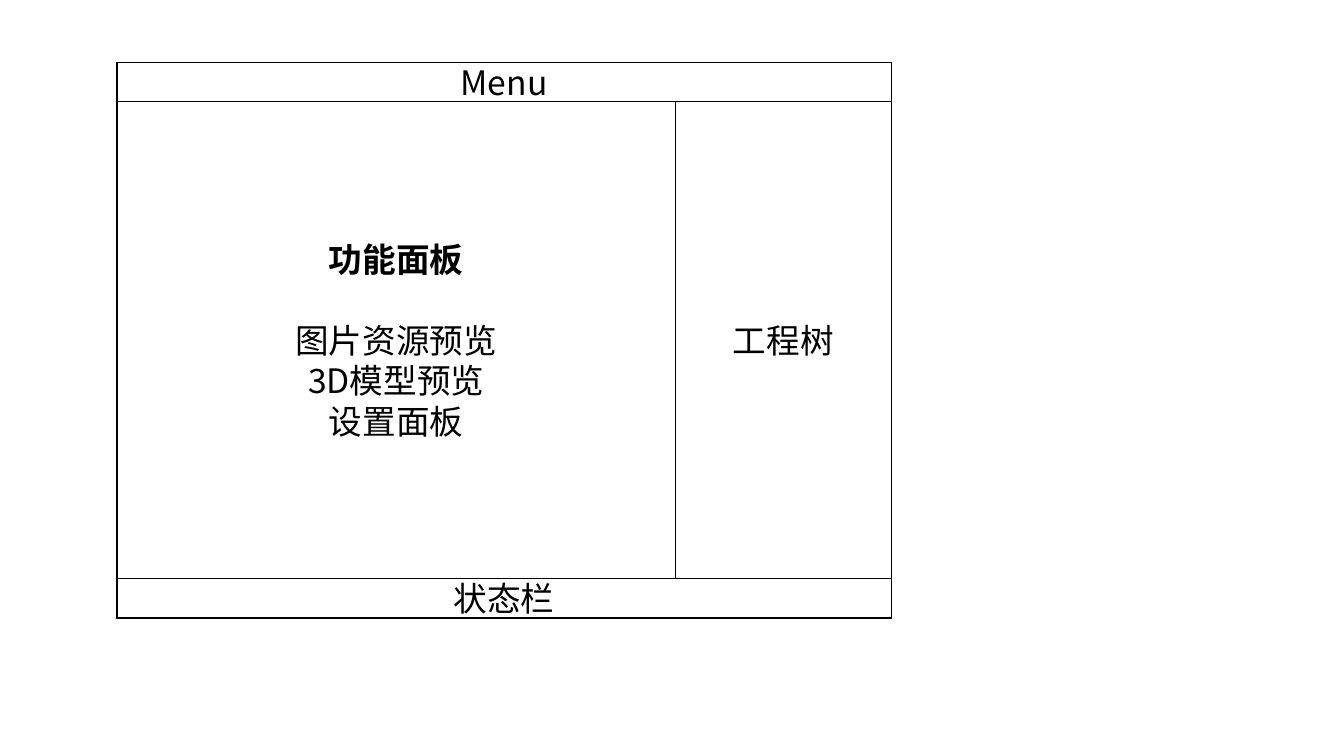
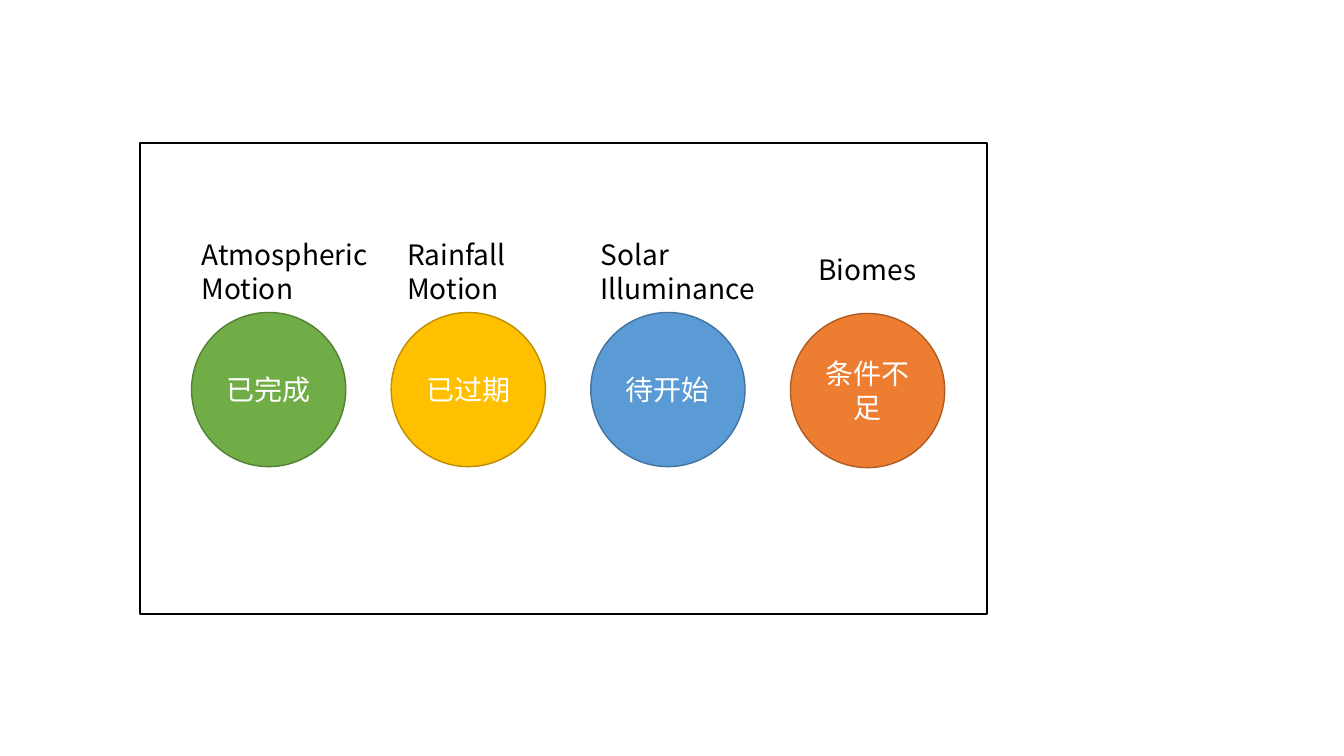
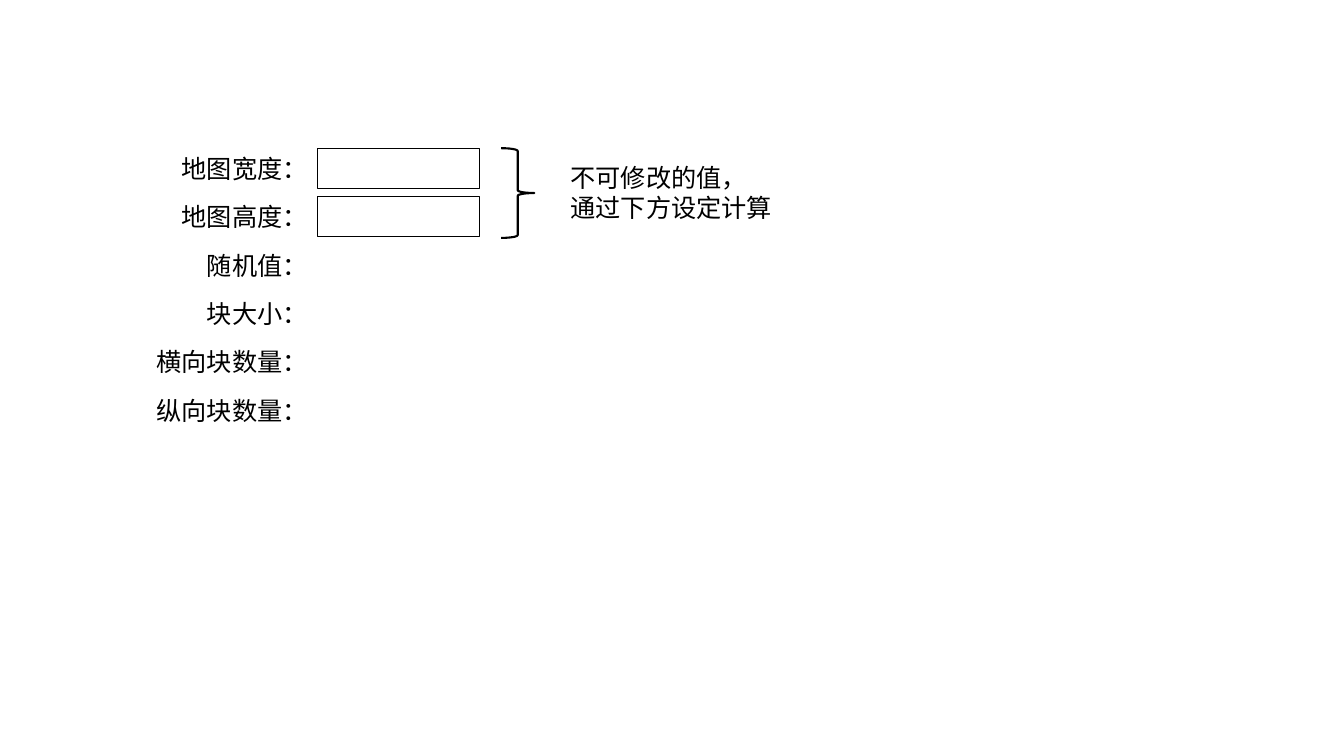
from lxml import etree
from pptx import Presentation
from pptx.dml.color import RGBColor
from pptx.enum import shapes, text
from pptx.oxml import ns
from pptx.util import Inches, Pt

BLACK = RGBColor(0x00, 0x00, 0x00)
WHITE = RGBColor(0xFF, 0xFF, 0xFF)
GREEN = RGBColor(0x70, 0xAD, 0x47)
DARK_GREEN = RGBColor(0x53, 0x80, 0x35)
GOLD = RGBColor(0xFF, 0xC0, 0x00)
DARK_GOLD = RGBColor(0xBD, 0x8E, 0x00)
BLUE = RGBColor(0x5B, 0x9B, 0xD5)
DARK_BLUE = RGBColor(0x43, 0x73, 0x9E)
ORANGE = RGBColor(0xED, 0x7D, 0x31)
DARK_ORANGE = RGBColor(0xAF, 0x5C, 0x24)
FONT = "Noto Sans CJK SC"
KIND = shapes.MSO_SHAPE
ALIGN = text.PP_ALIGN


def write(box, lines, size, color=BLACK, align=ALIGN.LEFT):
    frame = box.text_frame
    for number, line in enumerate(lines):
        para = frame.paragraphs[0] if number == 0 else frame.add_paragraph()
        para.alignment = align
        span = para.add_run()
        span.text = line
        look = {"name": FONT, "size": Pt(size), "bold": False}
        for key, value in look.items():
            setattr(span.font, key, value)
        span.font.color.rgb = color
        east_asian = etree.SubElement(span.font._element, ns.qn("a:ea"))
        east_asian.set("typeface", FONT)
    return frame


def draw(page, kind, place, fill=None, line=BLACK, weight=1):
    shape = page.shapes.add_shape(kind, *map(Inches, place))
    shape.shadow.inherit = False
    if fill is None:
        shape.fill.background()
    else:
        shape.fill.solid()
        shape.fill.fore_color.rgb = fill
    shape.line.color.rgb = line
    shape.line.width = Pt(weight)
    shape.text_frame.vertical_anchor = text.MSO_ANCHOR.MIDDLE
    return shape


deck = Presentation()
deck.slide_width, deck.slide_height = Inches(13.33), Inches(7.5)
layout_page, status_page, form_page = [
    deck.slides.add_slide(deck.slide_layouts[6]) for _ in range(3)
]

left, top, width, height = 1.16, 0.62, 7.68, 5.51
bar, tree_width = 0.39, 2.14
panel_width = width - tree_width
panel_top, panel_height = top + bar, height - 2 * bar
panels = [
    ((left, top, width, height), []),
    ((left, top, width, bar), ["Menu"]),
    ((left + panel_width, panel_top, tree_width, panel_height), ["工程树"]),
    ((left, top + height - bar, width, bar), ["状态栏"]),
    (
        (left, panel_top, panel_width, panel_height),
        ["功能面板", "图片资源预览", "3D模型预览", "设置面板"],
    ),
]
for place, lines in panels:
    panel = draw(layout_page, KIND.RECTANGLE, place, WHITE)
    frame = write(panel, lines, 24, align=ALIGN.CENTER)
heading = frame.paragraphs[0]
heading.space_after = Pt(28.8)
heading.runs[0].font.bold = True

draw(status_page, KIND.RECTANGLE, (1.39, 1.42, 8.4, 4.67))
statuses = [
    ("已完成", GREEN, DARK_GREEN, 3.1),
    ("已过期", GOLD, DARK_GOLD, 3.1),
    ("待开始", BLUE, DARK_BLUE, 3.1),
    ("条件不足", ORANGE, DARK_ORANGE, 3.11),
]
for column, (status, fill, line, top) in enumerate(statuses):
    place = (1.9 + 1.98 * column, top, 1.53, 1.53)
    circle = draw(status_page, KIND.OVAL, place, fill, line)
    write(circle, [status], 20, WHITE, ALIGN.CENTER)

captions = [
    (status_page, (1.9, 2.31, 1.86, 0.77), ["Atmospheric", "Motion"], 20, ALIGN.LEFT),
    (status_page, (3.94, 2.31, 1.19, 0.77), ["Rainfall", "Motion"], 20, ALIGN.LEFT),
    (status_page, (5.86, 2.31, 1.74, 0.77), ["Solar", "Illuminance"], 20, ALIGN.LEFT),
    (status_page, (8.02, 2.46, 1.18, 0.44), ["Biomes"], 20, ALIGN.LEFT),
    (form_page, (5.56, 1.56, 2.22, 0.71), ["不可修改的值，", "通过下方设定计算"], 18, ALIGN.LEFT),
]
row_top, row_step, row_height = 1.47, 0.48, 0.4
labels = ["地图宽度：", "地图高度：", "随机值：", "块大小：", "横向块数量：", "纵向块数量："]
for row, label in enumerate(labels):
    place = (1.43, row_top + row_step * row, 1.72, row_height)
    captions.append((form_page, place, [label], 18, ALIGN.RIGHT))
for page, place, lines, size, align in captions:
    box = page.shapes.add_textbox(*map(Inches, place))
    write(box, lines, size, align=align)
    box.text_frame.word_wrap = False
    box.text_frame.auto_size = text.MSO_AUTO_SIZE.SHAPE_TO_FIT_TEXT

for row in range(2):
    place = (3.15, row_top + row_step * row, 1.61, row_height)
    draw(form_page, KIND.RECTANGLE, place, weight=0.75)
draw(form_page, KIND.RIGHT_BRACE, (4.97, row_top, 0.33, 0.89), weight=1.5)

deck.save("out.pptx")
